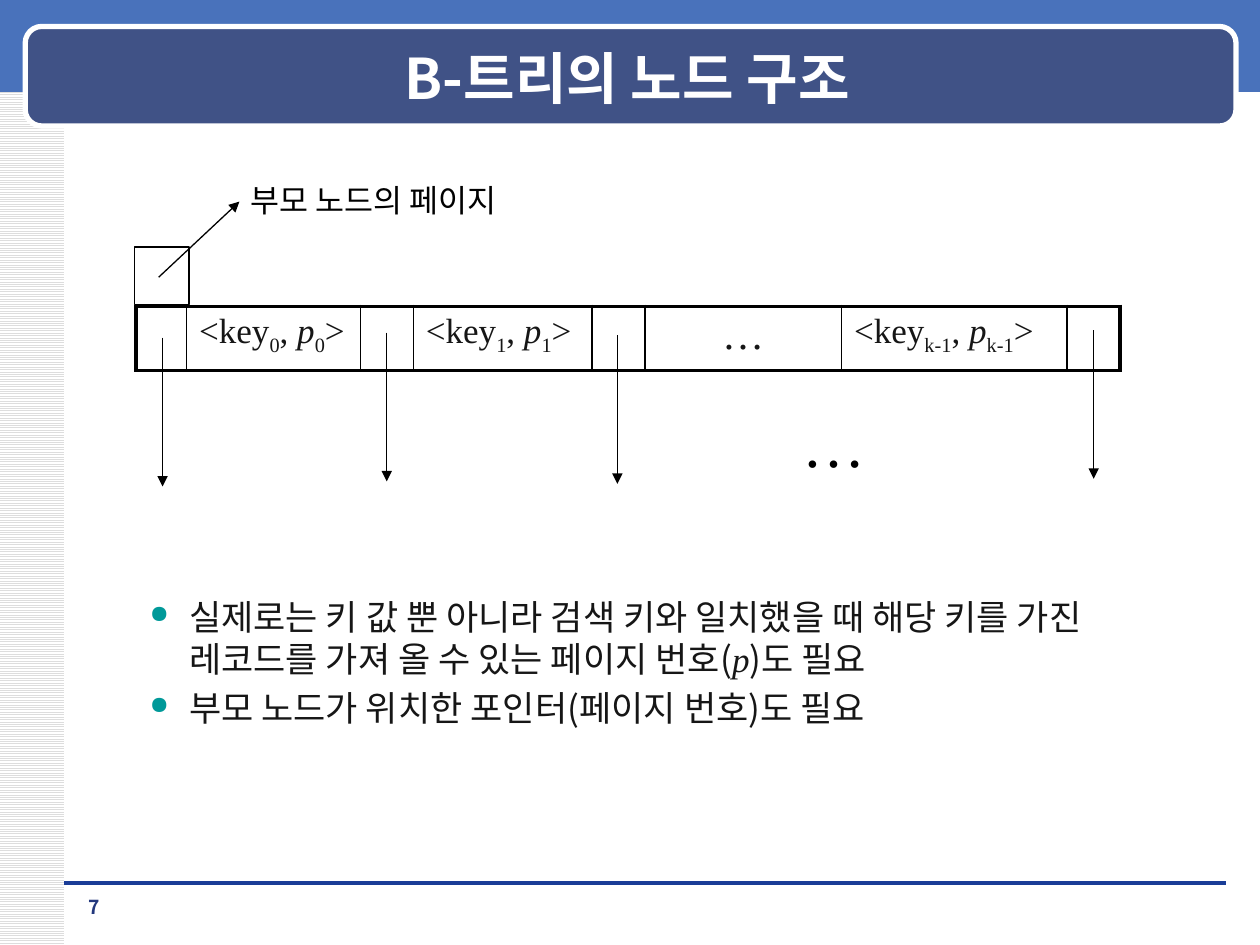
"""Build the slide on the node layout of a B-tree."""
from lxml import etree
from pptx import Presentation
from pptx.dml.color import RGBColor
from pptx.enum.dml import MSO_PATTERN
from pptx.enum.shapes import MSO_CONNECTOR, MSO_SHAPE
from pptx.enum.text import MSO_ANCHOR, PP_ALIGN
from pptx.oxml.ns import qn
from pptx.util import Pt

RECT, ROUND = MSO_SHAPE.RECTANGLE, MSO_SHAPE.ROUNDED_RECTANGLE
LINE = MSO_CONNECTOR.STRAIGHT
STRIPES = MSO_PATTERN.LIGHT_HORIZONTAL
LEFT, CENTER = PP_ALIGN.LEFT, PP_ALIGN.CENTER
TOP, MIDDLE = MSO_ANCHOR.TOP, MSO_ANCHOR.MIDDLE

WHITE = RGBColor(0xFF, 0xFF, 0xFF)
BLACK = RGBColor(0, 0, 0)
INK = RGBColor(0x16, 0x16, 0x16)
GRAY = RGBColor(0xDD, 0xDD, 0xDD)
BLUE = RGBColor(0x49, 0x72, 0xBB)
NAVY = RGBColor(0x40, 0x52, 0x86)
RULE = RGBColor(0x1A, 0x3D, 0x97)
PAGE = RGBColor(0x23, 0x38, 0x7D)
TEAL = "009999"

SANS, SERIF = "Noto Sans CJK KR", "Times New Roman"


class Deck:
    """Hold the style and the current slide."""

    def __init__(self):
        self.file = Presentation()
        self.file.slide_width, self.file.slide_height = Pt(720), Pt(540)
        self.slide = self.file.slides.add_slide(self.file.slide_layouts[6])
        self.shapes = self.slide.shapes

    def style(self, run, size, color, face=SANS, bold=False, slant=False):
        font = run.font
        font.size, font.bold, font.italic = Pt(size), bold, slant
        font.color.rgb = color
        font.name = face
        etree.SubElement(run._r.get_or_add_rPr(), qn("a:ea"), typeface=face)

    def block(self, box, fill=None, line=None, width=0.75, kind=RECT):
        shape = self.shapes.add_shape(kind, *map(Pt, box))
        shape.shadow.inherit = False
        if fill is None:
            shape.fill.background()
        else:
            shape.fill.solid()
            shape.fill.fore_color.rgb = fill
        if line is None:
            shape.line.fill.background()
        else:
            shape.line.color.rgb = line
            shape.line.width = Pt(width)
        return shape

    def band(self, box):
        fill = self.block(box).fill
        fill.patterned()
        fill.pattern = STRIPES
        fill.fore_color.rgb, fill.back_color.rgb = GRAY, WHITE

    def line(self, start, end, color=BLACK, width=0.75, arrow=True):
        link = self.shapes.add_connector(LINE, *map(Pt, start + end))
        link.line.color.rgb = color
        link.line.width = Pt(width)
        if arrow:
            etree.SubElement(link.line._get_or_add_ln(), qn("a:tailEnd"), type="triangle")
        etree.SubElement(link._element.spPr, qn("a:effectLst"))

    def frame(self, box, anchor=MIDDLE):
        frame = self.shapes.add_textbox(*map(Pt, box)).text_frame
        frame.word_wrap = True
        frame.vertical_anchor = anchor
        return frame

    def text(self, box, words, size, color, align=LEFT, face=SANS, bold=False):
        frame = self.frame(box)
        frame.text = words
        para = frame.paragraphs[0]
        para.alignment = align
        self.style(para.runs[0], size, color, face, bold)

    def list(self, box, items):
        frame = self.frame(box, TOP)
        for i, parts in enumerate(items):
            para = frame.add_paragraph() if i else frame.paragraphs[0]
            para.line_spacing = Pt(24)
            para.space_before = Pt(4 if i else 0)
            props = para._p.get_or_add_pPr()
            props.set("marL", str(Pt(58.5)))
            props.set("indent", str(Pt(-22.5)))
            tint = etree.SubElement(props, qn("a:buClr"))
            etree.SubElement(tint, qn("a:srgbClr"), val=TEAL)
            etree.SubElement(props, qn("a:buSzPct"), val="70000")
            etree.SubElement(props, qn("a:buChar"), char="●")
            for words in parts:
                run = para.add_run()
                run.text = words
                slant = words == "p"
                self.style(run, 20, INK, SERIF if slant else SANS, slant=slant)

    def pair(self, para, index):
        for words in ("<key", index, ", ", "p", index, ">"):
            run = para.add_run()
            run.text = words
            self.style(run, 20, INK, SERIF, slant=words == "p")
            if words == index:
                run._r.get_or_add_rPr().set("baseline", "-25000")

    def edge(self, cell, widths):
        props = cell._tc.get_or_add_tcPr()
        for i, (side, width) in enumerate(zip("LRTB", widths)):
            line = etree.Element(qn("a:ln" + side), w=str(Pt(width)))
            fill = etree.SubElement(line, qn("a:solidFill"))
            etree.SubElement(fill, qn("a:srgbClr"), val=str(BLACK))
            props.insert(i, line)

    def node(self, box, widths, labels):
        table = self.shapes.add_table(1, len(widths), *map(Pt, box)).table
        table.first_row = table.horz_banding = False
        table.rows[0].height = Pt(box[3])
        last = len(widths) - 1
        for i, (width, label) in enumerate(zip(widths, labels)):
            table.columns[i].width = Pt(width)
            cell = table.cell(0, i)
            cell.fill.background()
            self.edge(cell, (1 if i else 2.25, 2.25 if i == last else 1, 2.25, 2.25))
            para = cell.text_frame.paragraphs[0]
            if label == "…":
                para.text = label
                para.alignment = CENTER
                self.style(para.runs[0], 24, INK, SERIF)
            elif label:
                self.pair(para, label)


def main():
    deck = Deck()
    deck.band((0, 0, 36.7, 540))
    deck.block((0, -2, 720, 54.5), BLUE)
    deck.line((36.7, 504.7), (700.6, 504.7), RULE, 0, False)
    deck.block((14.4, 15.1, 691.9, 56.9), NAVY, WHITE, 3, ROUND)
    deck.text((51.1, 21.6, 614.9, 44.6), "B-트리의 노드 구조", 32, WHITE, CENTER, bold=True)

    widths = (28.8, 99.4, 30.2, 102.2, 30.2, 112.3, 128.9, 30.2)
    labels = ("", "0", "", "1", "", "…", "k-1", "")
    deck.node((77.8, 175, sum(widths), 36.7), widths, labels)
    for x, y in ((92.9, 193), (221, 190.1), (352.8, 191.5), (625, 188.6)):
        deck.line((x, y), (x, y + 85))
    deck.text((451.4, 227.5, 50.4, 50.4), "…", 36, BLACK, face=SERIF)

    deck.block((77, 141.1, 31, 33.1), line=BLACK)
    deck.line((90.7, 158.4), (136.8, 115.2))
    deck.text((136.1, 100.1, 172.8, 28.8), "부모 노드의 페이지", 18, BLACK)
    deck.list((42.5, 336.5, 640.8, 90), (
        ("실제로는 키 값 뿐 아니라 검색 키와 일치했을 때 해당 키를 가진 "
         "레코드를 가져 올 수 있는 페이지 번호(", "p", ")도 필요"),
        ("부모 노드가 위치한 포인터(페이지 번호)도 필요",),
    ))
    deck.text((36.7, 508.3, 33.8, 19.4), "7", 11, PAGE, CENTER, bold=True)
    deck.file.save("out.pptx")


if __name__ == "__main__":
    main()
